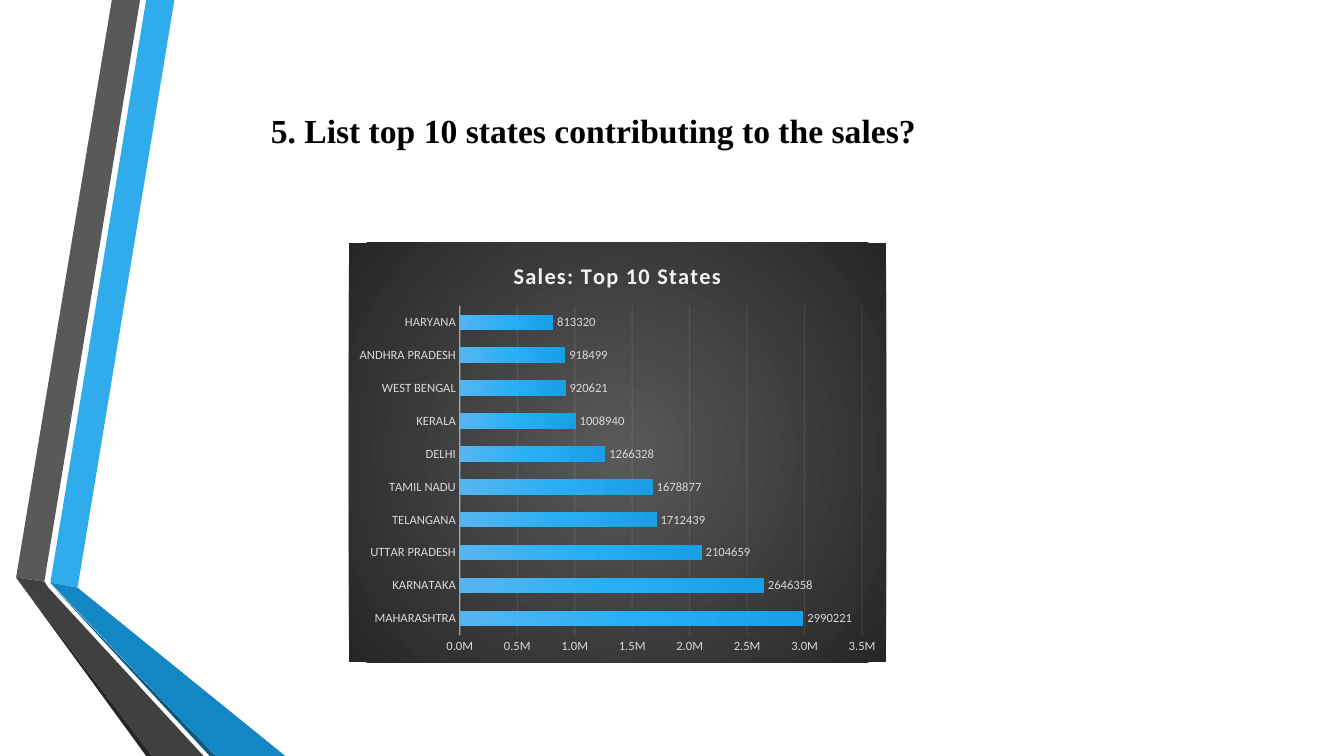
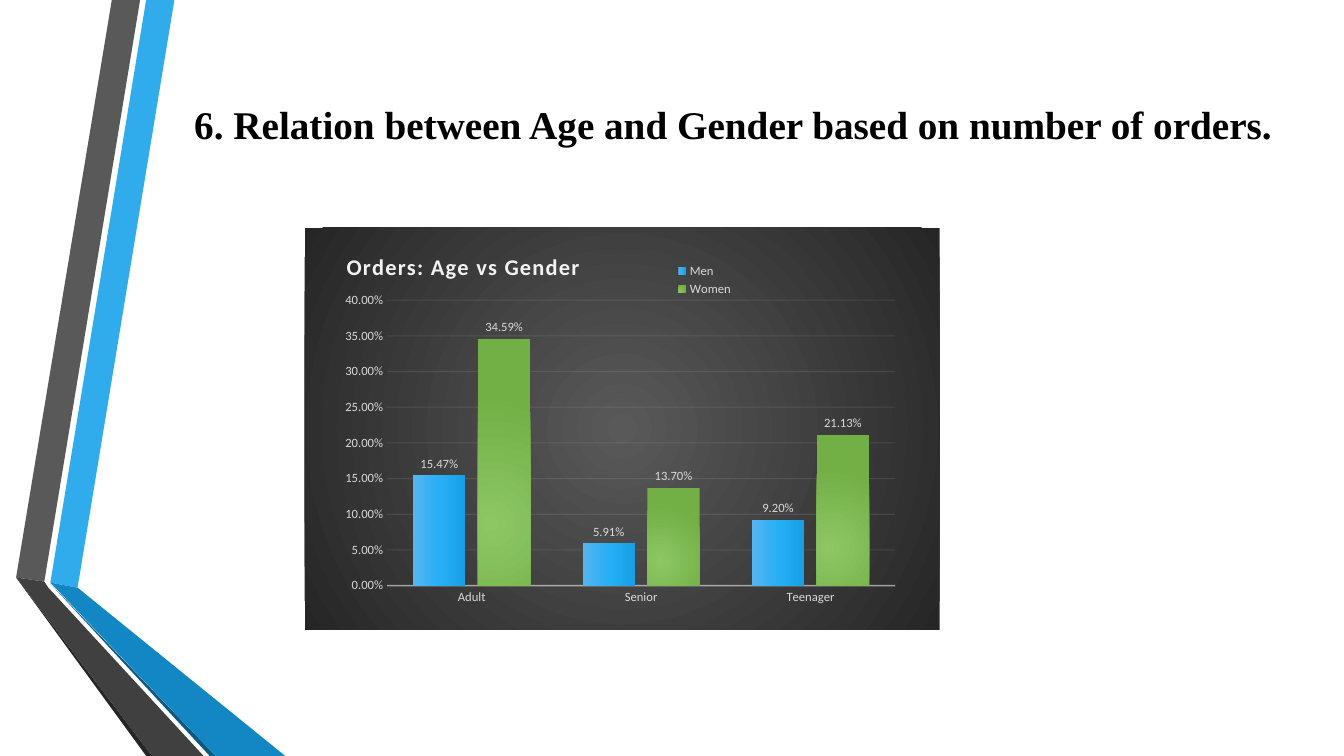
"""Build two sales chart slides that share a folded ribbon on the master."""
from pptx import Presentation
from pptx.chart.data import CategoryChartData
from pptx.dml.color import RGBColor
from pptx.enum import chart as kinds, text
from pptx.oxml import ns, parse_xml
from pptx.util import Inches, Pt

BLACK = RGBColor(0x00, 0x00, 0x00)
LABEL_GREY = RGBColor(0xD9, 0xD9, 0xD9)
PALE = RGBColor(0xF2, 0xF2, 0xF2)
SKY = RGBColor(0x30, 0xAC, 0xEC)
BLUE = RGBColor(0x12, 0x87, 0xC3)
NAVY = RGBColor(0x0C, 0x5A, 0x82)
GREY = RGBColor(0x59, 0x59, 0x59)
CHARCOAL = RGBColor(0x40, 0x40, 0x40)
INK = RGBColor(0x26, 0x26, 0x26)
BLUE_STOPS = [(0, RGBColor(0x56, 0xB5, 0xF0)), (50, RGBColor(0x27, 0xAF, 0xF5)),
              (100, RGBColor(0x18, 0x9F, 0xE5))]
GREEN_STOPS = [(0, RGBColor(0x8C, 0xC7, 0x64)), (100, RGBColor(0x72, 0xAF, 0x45))]
PANEL_STOPS = [(0, GREY), (100, INK)]

RIBBON = [
    (SKY, [(0.5, 5.78), (0.77, 5.83), (1.73, 0), (1.45, 0)]),
    (GREY, [(1.39, 0), (1.11, 0), (0.16, 5.73), (0.44, 5.77)]),
    (INK, [(0.16, 5.73), (1.45, 7.5), (1.51, 7.5)]),
    (NAVY, [(0.5, 5.79), (2.08, 7.5), (2.14, 7.5)]),
    (BLUE, [(0.5, 5.78), (2.14, 7.5), (2.83, 7.5), (0.77, 5.83)]),
    (CHARCOAL, [(2.02, 7.5), (0.48, 5.83), (0.44, 5.77), (0.16, 5.73), (1.51, 7.5)]),
]

SLIDES = [
    {
        "title": "5. List top 10 states contributing to the sales?",
        "title_size": 24, "title_box": (0.83, 0.93, 10.11, 0.72),
        "chart_title": "Sales: Top 10 States", "chart_box": (3.46, 2.41, 5.33, 4.16),
        "kind": kinds.XL_CHART_TYPE.BAR_CLUSTERED, "gap": 115, "overlap": -20,
        "axis_format": '0.0,,"M"', "label_format": "General",
        "maximum": 3500000, "step": 500000,
        "categories": ["MAHARASHTRA", "KARNATAKA", "UTTAR PRADESH", "TELANGANA", "TAMIL NADU",
                       "DELHI", "KERALA", "WEST BENGAL", "ANDHRA PRADESH", "HARYANA"],
        "series": [("Series 1", [2990221, 2646358, 2104659, 1712439, 1678877,
                                 1266328, 1008940, 920621, 918499, 813320])],
    },
    {
        "title": "6. Relation between Age and Gender based on number of orders.",
        "title_size": 28, "title_box": (1.78, 0.9, 10.98, 0.65),
        "chart_title": "Orders: Age vs Gender", "chart_box": (3.02, 2.26, 6.3, 3.99),
        "kind": kinds.XL_CHART_TYPE.COLUMN_CLUSTERED, "gap": 100, "overlap": -24,
        "axis_format": "0.00%", "label_format": "0.00%",
        "maximum": 0.4, "step": 0.05,
        "categories": ["Adult", "Senior", "Teenager"],
        "series": [("Men", [0.1547, 0.0591, 0.092]), ("Women", [0.3459, 0.137, 0.2113])],
    },
]


def add_gradient(properties, stops, focus=None):
    """Fill with a left-to-right gradient, or a circular one around a focus."""
    marks = "".join(f'<a:gs pos="{position * 1000}"><a:srgbClr val="{color}"/></a:gs>'
                    for position, color in stops)
    direction = '<a:lin ang="0" scaled="0"/>'
    if focus:
        sides = " ".join(f'{side}="{value * 1000}"' for side, value in zip("ltrb", focus))
        direction = f'<a:path path="circle"><a:fillToRect {sides}/></a:path>'
    properties.insert(0, parse_xml(
        f'<a:gradFill {ns.nsdecls("a")}><a:gsLst>{marks}</a:gsLst>{direction}</a:gradFill>'))


def set_layout(element, index, target="", **values):
    """Give a chart part a fixed place, in fractions of the chart."""
    for layout in element.xpath("c:layout"):
        element.remove(layout)
    modes = "".join(f'<c:{axis}Mode val="edge"/>' for axis in "xy")
    numbers = "".join(f'<c:{name} val="{value}"/>' for name, value in values.items())
    element.insert(index, parse_xml(
        f'<c:layout {ns.nsdecls("c")}><c:manualLayout>{target}{modes}{numbers}'
        '</c:manualLayout></c:layout>'))


presentation = Presentation()
presentation.slide_width = Inches(13.33)
presentation.slide_height = Inches(7.5)
title_layout = presentation.slide_layouts.get_by_name("Title Only")
master_tree = presentation.slide_master.element.cSld.spTree

for number, content in enumerate(SLIDES):
    slide = presentation.slides.add_slide(title_layout)

    if number == 0:
        for depth, (color, points) in enumerate(RIBBON):
            corners = [(Inches(x), Inches(y)) for x, y in points]
            builder = slide.shapes.build_freeform(*corners[0])
            builder.add_line_segments(corners[1:], close=True)
            shape = builder.convert_to_shape()
            shape.name = f"Ribbon {depth + 1}"
            shape.shadow.inherit = False
            shape.fill.solid()
            shape.fill.fore_color.rgb = color
            shape.line.fill.background()
            master_tree.insert(2 + depth, shape.element)

    title = slide.shapes.title
    title.left, title.top, title.width, title.height = map(Inches, content["title_box"])
    title.text_frame.vertical_anchor = text.MSO_ANCHOR.MIDDLE
    paragraph = title.text_frame.paragraphs[0]
    paragraph.alignment = text.PP_ALIGN.CENTER
    run = paragraph.add_run()
    run.text = content["title"]
    run.font.name = "Times New Roman"
    run.font.size = Pt(content["title_size"])
    run.font.bold = True
    run.font.color.rgb = BLACK

    data = CategoryChartData()
    data.categories = content["categories"]
    for name, values in content["series"]:
        data.add_series(name, values)
    chart = slide.shapes.add_chart(
        content["kind"], *map(Inches, content["chart_box"]), data).chart
    chart.font.name = "Calibri"
    chart.font.size = Pt(9)
    chart.font.color.rgb = LABEL_GREY
    panel = parse_xml(f'<c:spPr {ns.nsdecls("c", "a")}><a:ln><a:noFill/></a:ln></c:spPr>')
    add_gradient(panel, PANEL_STOPS, (50, 50, 50, 50))
    chart.element.xpath("c:chart")[0].addnext(panel)

    chart.has_title = True
    run = chart.chart_title.text_frame.paragraphs[0].add_run()
    run.text = content["chart_title"]
    run.font.name = "Calibri"
    run.font.size = Pt(16)
    run.font.bold = True
    run.font.color.rgb = PALE
    run.font._element.set("spc", "100")

    plot = chart.plots[0]
    plot.vary_by_categories = False
    plot.gap_width = content["gap"]
    plot.overlap = content["overlap"]
    plot.has_data_labels = True
    labels = plot.data_labels
    labels.show_value = True
    labels.position = kinds.XL_LABEL_POSITION.OUTSIDE_END
    labels.number_format = content["label_format"]
    labels.number_format_is_linked = False
    labels.font.name = "Calibri"
    labels.font.size = Pt(9)
    labels.font.color.rgb = LABEL_GREY
    for series, stops, focus in zip(
            plot.series, (BLUE_STOPS, GREEN_STOPS), (None, (50, 100, 100, 50))):
        series.invert_if_negative = False
        add_gradient(series._element.get_or_add_spPr(), stops, focus)

    category_axis, value_axis = chart.category_axis, chart.value_axis
    for axis in (category_axis, value_axis):
        axis.major_tick_mark = kinds.XL_TICK_MARK.NONE
        axis.minor_tick_mark = kinds.XL_TICK_MARK.NONE
    category_axis.has_major_gridlines = False
    value_axis.has_major_gridlines = True
    value_axis.minimum_scale = 0
    value_axis.maximum_scale = content["maximum"]
    value_axis.major_unit = content["step"]
    value_axis.tick_labels.number_format = content["axis_format"]
    value_axis.tick_labels.number_format_is_linked = False
    value_axis.format.line.fill.background()
    for line, width, opacity, parent in (
            (category_axis.format.line, 1, 54, "catAx"),
            (value_axis.major_gridlines.format.line, 0.75, 10, "majorGridlines")):
        line.width = Pt(width)
        line.color.rgb = PALE
        color = chart.element.xpath(f".//c:{parent}/c:spPr//a:srgbClr")[0]
        color.append(parse_xml(f'<a:alpha {ns.nsdecls("a")} val="{opacity * 1000}"/>'))

    chart.has_legend = len(content["series"]) > 1
    if chart.has_legend:
        chart.legend.position = kinds.XL_LEGEND_POSITION.RIGHT
        chart.legend.include_in_layout = False
        chart.legend.font.name = "Calibri"
        chart.legend.font.size = Pt(9)
        chart.legend.font.color.rgb = LABEL_GREY
        area, heading, legend = [chart.element.xpath(f"c:chart/c:{part}")[0]
                                 for part in ("plotArea", "title", "legend")]
        set_layout(area, 0, '<c:layoutTarget val="inner"/>', x=0.13, y=0.18, w=0.8, h=0.71)
        set_layout(heading, 1, x=0.06, y=0.05)
        set_layout(legend, 1, x=0.57, y=0.08, w=0.12, h=0.1)

presentation.save("out.pptx")
